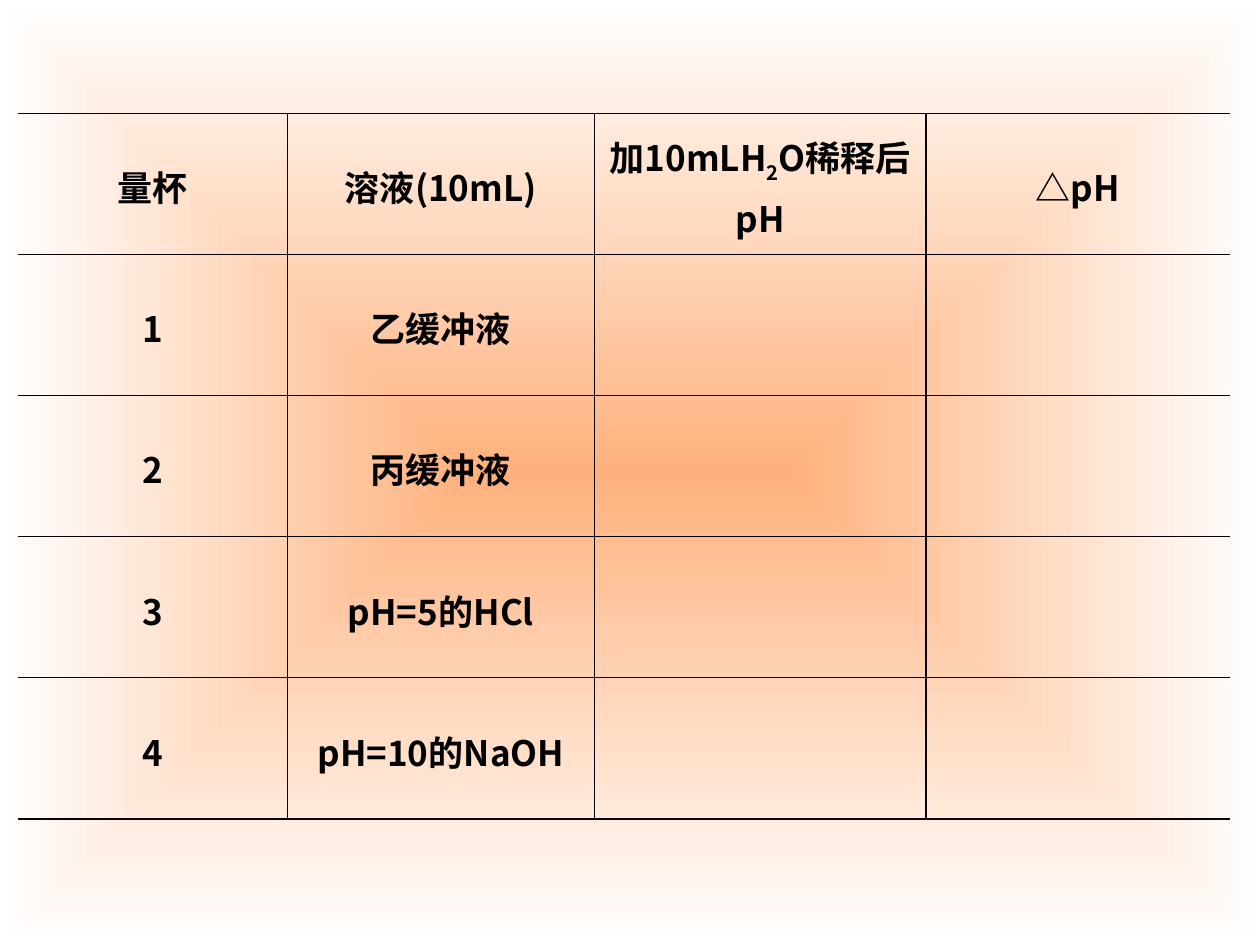
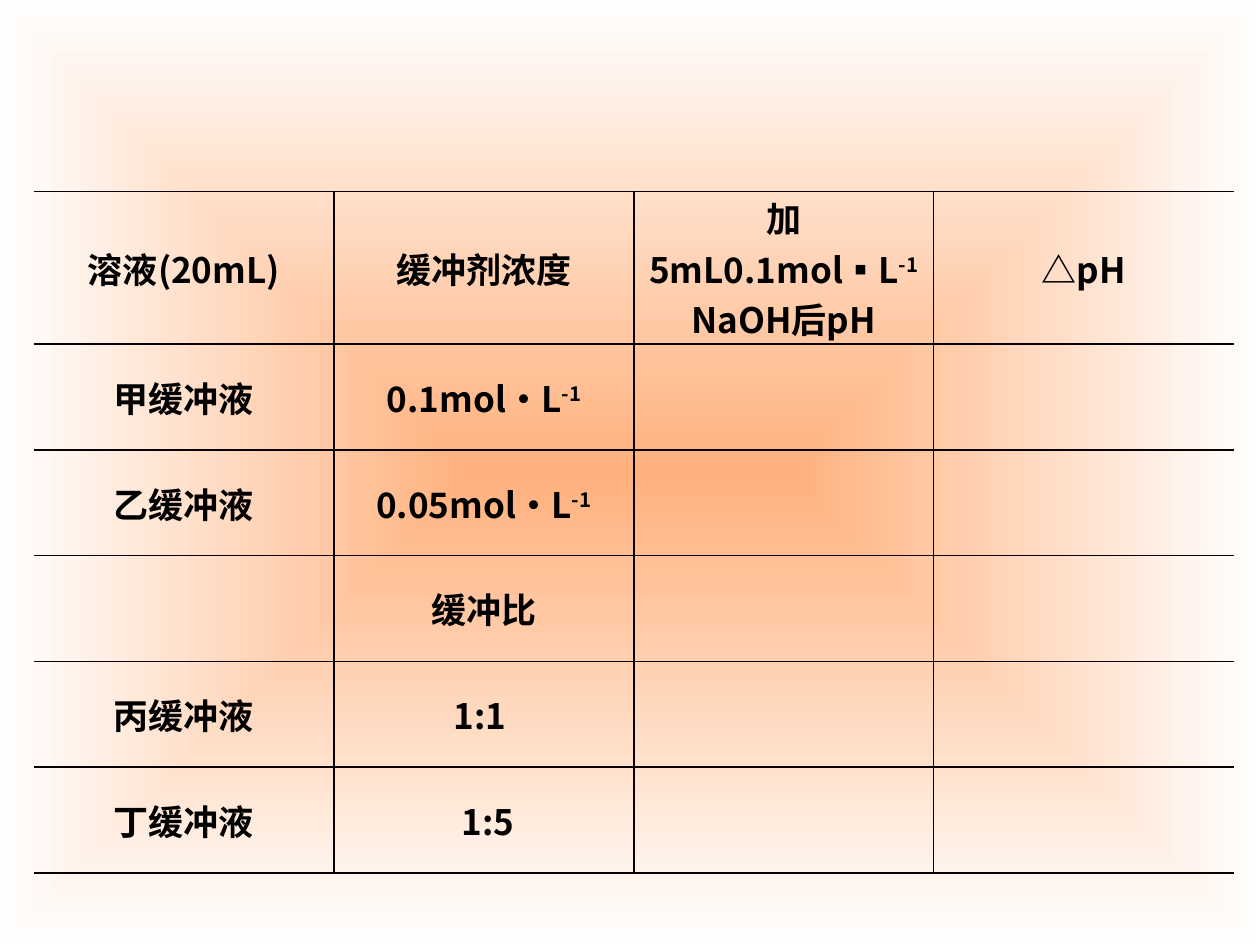
from lxml import etree
from pptx import Presentation
from pptx import util as u
from pptx.dml.color import RGBColor
from pptx.enum import text
from pptx.oxml.ns import qn

FONT = "Noto Sans CJK SC"
INK = RGBColor(0x00, 0x00, 0x00)
RULE = RGBColor(0x08, 0x00, 0x00)
PEACH = RGBColor(0xFF, 0xB1, 0x7D)
WHITE = RGBColor(0xFF, 0xFF, 0xFF)
PLAIN_TABLE_STYLE = "{2D5ABB26-0587-4C30-8999-92F81FD0307C}"
SUBSCRIPT_TWO = ("2", -25000)
POWER_MINUS_ONE = ("-1", 30000)

DILUTION_ROWS = [
    [[["量杯"]], [["溶液(10mL)"]], [["加10mLH", SUBSCRIPT_TWO, "O稀释后pH"]], [["△pH"]]],
    [[["1"]], [["乙缓冲液"]]],
    [[["2"]], [["丙缓冲液"]]],
    [[["3"]], [["pH=5的HCl"]]],
    [[["4"]], [["pH=10的NaOH"]]],
]
CAPACITY_ROWS = [
    [[["溶液(20mL)"]], [["缓冲剂浓度"]],
     [["加5mL0.1mol▪L", POWER_MINUS_ONE], ["NaOH后pH"]], [["△pH"]]],
    [[["甲缓冲液"]], [["0.1mol·L", POWER_MINUS_ONE]]],
    [[["乙缓冲液"]], [["0.05mol·L", POWER_MINUS_ONE]]],
    [[], [["缓冲比"]]],
    [[["丙缓冲液"]], [["1:1 "]]],
    [[["丁缓冲液"]], [[" 1:5"]]],
]


class Deck:
    """Holds the shared style and the current slide."""

    def __init__(self):
        self.presentation = Presentation()
        self.presentation.slide_width = u.Inches(10)
        self.presentation.slide_height = u.Inches(7.5)
        self.slide = None
        self.set_background()

    def set_background(self):
        master = self.presentation.slide_master
        fill = master.background.fill
        fill.gradient()
        for stop, position, color in zip(fill.gradient_stops, (0, 1), (PEACH, WHITE)):
            stop.position = position
            stop.color.rgb = color
        linear = next(master.element.iter(qn("a:lin")))
        gradient = linear.getparent()
        shading = etree.Element(qn("a:path"), path="shape")
        etree.SubElement(shading, qn("a:fillToRect"), l="50000", t="50000", r="50000", b="50000")
        gradient.replace(linear, shading)

    def add_slide(self):
        self.slide = self.presentation.slides.add_slide(self.presentation.slide_layouts[6])

    def add_run(self, paragraph, content, baseline=0):
        run = paragraph.add_run()
        run.text = content
        font = run.font
        font.size, font.bold, font.name = u.Pt(20), True, FONT
        font.color.rgb = INK
        properties = run._r.get_or_add_rPr()
        etree.SubElement(properties, qn("a:ea"), typeface=FONT)
        if baseline:
            properties.set("baseline", str(baseline))

    def add_borders(self, cell, sides):
        properties = cell._tc.get_or_add_tcPr()
        for side in sides:
            line = etree.SubElement(properties, qn(f"a:ln{side}"), w=str(u.Pt(1)))
            solid = etree.SubElement(line, qn("a:solidFill"))
            etree.SubElement(solid, qn("a:srgbClr"), val=str(RULE))

    def fill_cell(self, cell, lines, line_spacing):
        cell.vertical_anchor = text.MSO_ANCHOR.MIDDLE
        cell.margin_left = cell.margin_right = u.Inches(0.07)
        cell.margin_top = cell.margin_bottom = 0
        frame = cell.text_frame
        for index, line in enumerate(lines):
            paragraph = frame.add_paragraph() if index else frame.paragraphs[0]
            paragraph.alignment = text.PP_ALIGN.CENTER
            paragraph.line_spacing = line_spacing
            for piece in line:
                self.add_run(paragraph, *([piece] if isinstance(piece, str) else piece))

    def add_table(self, left, top, widths, row_height, rows, line_spacing=1.0):
        shape = self.slide.shapes.add_table(
            len(rows), len(widths), u.Inches(left), u.Inches(top),
            u.Inches(sum(widths)), u.Inches(row_height * len(rows)))
        next(shape.element.iter(qn("a:tableStyleId"))).text = PLAIN_TABLE_STYLE
        table = shape.table
        table.first_row = table.horz_banding = False
        for column, width in zip(table.columns, widths):
            column.width = u.Inches(width)
        last = len(widths) - 1
        for row_index, row in enumerate(rows):
            table.rows[row_index].height = u.Inches(row_height)
            for column_index in range(len(widths)):
                cell = table.cell(row_index, column_index)
                lines = row[column_index] if column_index < len(row) else []
                self.fill_cell(cell, lines, line_spacing)
                sides = ("L" if column_index > 0 else "") + ("R" if column_index < last else "")
                self.add_borders(cell, sides + "TB")
                cell.fill.background()


def main():
    deck = Deck()
    deck.add_slide()
    deck.add_table(0.14, 0.9, [2.14, 2.44, 2.63, 2.41], 1.12, DILUTION_ROWS, line_spacing=1.1)
    deck.add_slide()
    deck.add_table(0.27, 1.52, [2.38] * 4, 0.84, CAPACITY_ROWS)
    deck.presentation.save("out.pptx")


if __name__ == "__main__":
    main()
